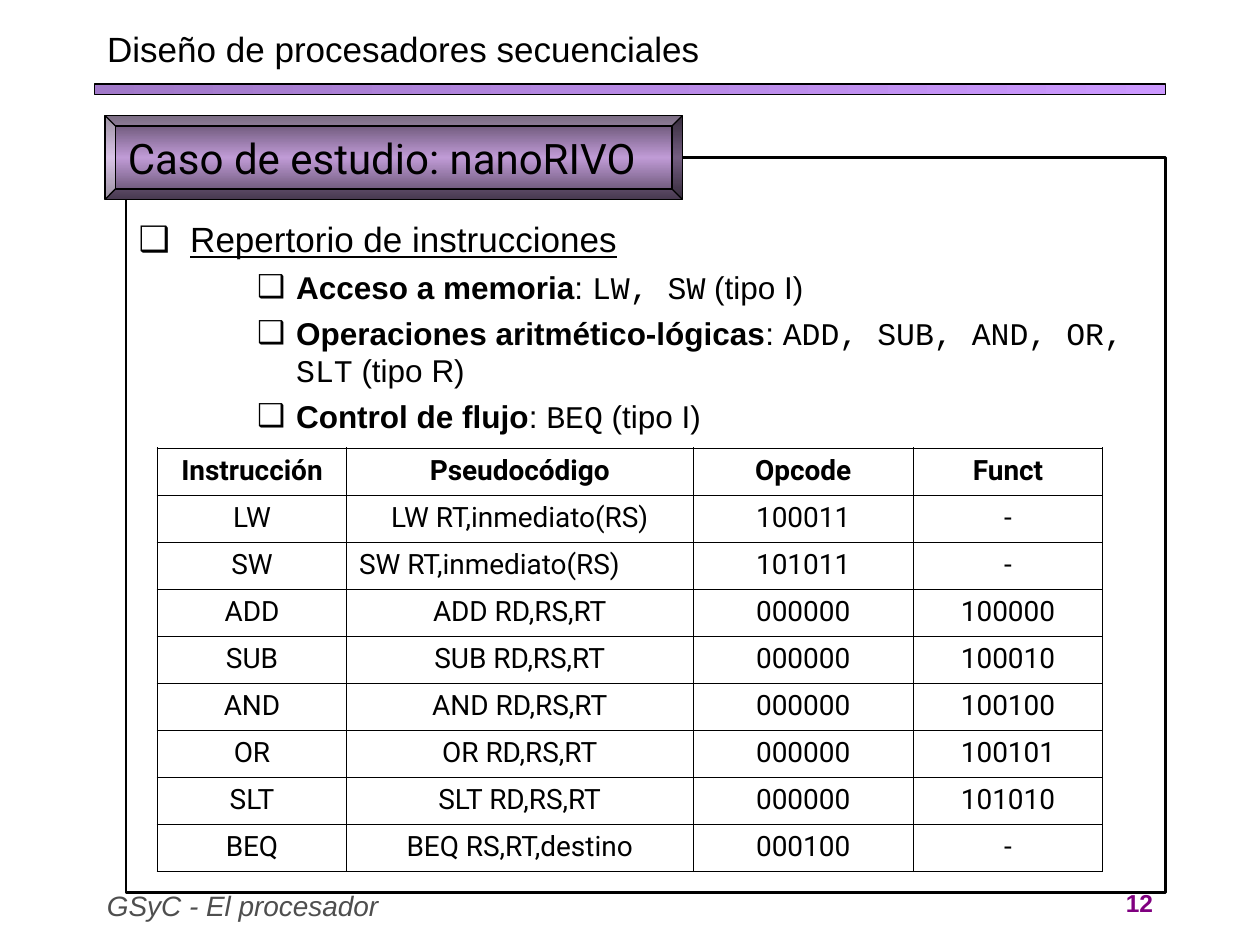
from lxml import etree
from pptx import Presentation, util as u
from pptx.dml.color import RGBColor
from pptx.enum import shapes, text
from pptx.oxml import ns

COLUMNS, ROWS = 120, 90
CELL = u.Inches(10) // COLUMNS
BLACK = "000000"

INSTRUCTION_GROUPS = [
    ("Acceso a memoria", "LW, SW", "I"),
    ("Operaciones aritmético-lógicas", "ADD, SUB, AND, OR, SLT", "R"),
    ("Control de flujo", "BEQ", "I"),
]
OPCODES = [
    ("Instrucción", "Pseudocódigo", "Opcode", "Funct"),
    ("LW", "LW RT,inmediato(RS)", "100011", "-"),
    ("SW", "SW RT,inmediato(RS)", "101011", "-"),
    ("ADD", "ADD RD,RS,RT", "000000", "100000"),
    ("SUB", "SUB RD,RS,RT", "000000", "100010"),
    ("AND", "AND RD,RS,RT", "000000", "100100"),
    ("OR", "OR RD,RS,RT", "000000", "100101"),
    ("SLT", "SLT RD,RS,RT", "000000", "101010"),
    ("BEQ", "BEQ RS,RT,destino", "000100", "-"),
]
OPCODE_COLUMNS = (18, 33, 21, 18)


def color(value):
    return RGBColor.from_string(value)


def grid(*box):
    """Turn left, top, width and height in grid cells into slide lengths."""
    return [round(cells * CELL) for cells in box]


def place(shape, box):
    shape.left, shape.top, shape.width, shape.height = grid(*box)


def add_element(parent, tag, **attributes):
    return etree.SubElement(parent, ns.qn(tag), attributes)


def style(paragraph, size, value=BLACK, name="Arial", bold=False,
          italic=False, align=text.PP_ALIGN.LEFT):
    paragraph.alignment = align
    font = paragraph.font
    font.size, font.name, font.bold, font.italic = u.Pt(size), name, bold, italic
    font.color.rgb = color(value)


def set_gradient(shape, angle, stops):
    """Fill a shape with (percent, colour) stops along a clockwise angle."""
    shape.fill.gradient()
    gradient = shape._element.spPr.find(ns.qn("a:gradFill"))
    for child in list(gradient):
        gradient.remove(child)
    stop_list = add_element(gradient, "a:gsLst")
    for percent, value in stops:
        stop = add_element(stop_list, "a:gs", pos=str(percent * 1000))
        add_element(stop, "a:srgbClr", val=value)
    add_element(gradient, "a:lin", ang=str(angle * 60000), scaled="0")


def add_gradient_shape(slide, kind, box, angle, stops):
    shape = slide.shapes.add_shape(kind, *grid(*box))
    shape.shadow.inherit = False
    set_gradient(shape, angle, stops)
    shape.line.color.rgb = color(BLACK)
    shape.line.width = u.Pt(0.75)
    return shape


def add_heading(slide, title_box, rule_box):
    title = slide.shapes.title
    place(title, title_box)
    frame = title.text_frame
    frame.text = "Diseño de procesadores secuenciales"
    frame.auto_size = text.MSO_AUTO_SIZE.NONE
    frame.vertical_anchor = text.MSO_ANCHOR.TOP
    style(frame.paragraphs[0], 20)
    add_gradient_shape(slide, shapes.MSO_SHAPE.RECTANGLE, rule_box, 180,
                       [(0, "CC99FF"), (100, "A179C9")])


def add_topic(slide, box):
    bevel = add_gradient_shape(slide, shapes.MSO_SHAPE.BEVEL, box, 90,
                               [(0, "594863"), (50, "C09BD6"), (100, "594863")])
    bevel.adjustments[0] = 0.125
    frame = bevel.text_frame
    frame.text = "Caso de estudio: nanoRIVO"
    frame.vertical_anchor = text.MSO_ANCHOR.MIDDLE
    style(frame.paragraphs[0], 24, name="Roboto")


def set_bullet(paragraph, margin, hanging):
    properties = paragraph._p.get_or_add_pPr()
    properties.set("marL", str(u.Inches(margin)))
    properties.set("indent", str(-u.Inches(hanging)))
    add_element(add_element(properties, "a:buClr"), "a:srgbClr", val=BLACK)
    add_element(properties, "a:buChar", char="❑")


def add_run(paragraph, words, name="Arial", bold=False):
    run = paragraph.add_run()
    run.text = words
    run.font.name, run.font.bold = name, bold


def add_repertoire(slide, box):
    body = slide.placeholders[1]
    place(body, box)
    body.line.color.rgb = color(BLACK)
    body.line.width = u.Pt(1.5)
    frame = body.text_frame
    frame.auto_size = text.MSO_AUTO_SIZE.NONE
    frame.margin_top = u.Inches(0.48)
    frame.text = "Repertorio de instrucciones"
    heading = frame.paragraphs[0]
    set_bullet(heading, 0.41, 0.41)
    heading.space_before = u.Pt(0)
    style(heading, 20)
    heading.font.underline = True
    for group, mnemonics, kind in INSTRUCTION_GROUPS:
        paragraph = frame.add_paragraph()
        paragraph.level = 1
        set_bullet(paragraph, 1.25, 0.31)
        paragraph.space_before = u.Pt(4.5)
        style(paragraph, 18)
        add_run(paragraph, group, bold=True)
        add_run(paragraph, ": ")
        add_run(paragraph, mnemonics, name="Courier New")
        add_run(paragraph, f" (tipo {kind})")


def set_borders(cell, widths):
    """Draw the left, right, top and bottom borders, widths in points."""
    properties = cell._tc.get_or_add_tcPr()
    for index, (side, width) in enumerate(zip("LRTB", widths)):
        line = etree.Element(ns.qn(f"a:ln{side}"), w=str(u.Pt(width)))
        add_element(add_element(line, "a:solidFill"), "a:srgbClr", val=BLACK)
        properties.insert(index, line)


def add_opcode_table(slide, box):
    last_row, last_column = len(OPCODES) - 1, len(OPCODE_COLUMNS) - 1
    table = slide.shapes.add_table(last_row + 1, last_column + 1, *grid(*box)).table
    table.first_row = table.horz_banding = False
    for column, width in zip(table.columns, OPCODE_COLUMNS):
        column.width = width * CELL
    for r, values in enumerate(OPCODES):
        for c, value in enumerate(values):
            cell = table.cell(r, c)
            cell.text = value
            cell.fill.background()
            outer = (c == 0, c == last_column, r == 0, r == last_row)
            set_borders(cell, [1.08 if edge else 0.45 for edge in outer])
            left = value.startswith("SW ")
            style(cell.text_frame.paragraphs[0], 16, name="Roboto", bold=r == 0,
                  align=text.PP_ALIGN.LEFT if left else text.PP_ALIGN.CENTER)


def add_footer_text(slide, box, words, size, value, **options):
    frame = slide.shapes.add_textbox(*grid(*box)).text_frame
    frame.word_wrap = True
    frame.text = words
    style(frame.paragraphs[0], size, value, **options)


def main():
    presentation = Presentation()
    presentation.slide_width, presentation.slide_height = COLUMNS * CELL, ROWS * CELL
    slide = presentation.slides.add_slide(presentation.slide_layouts[1])
    add_heading(slide, (9, 2, 99, 5.28), (9, 8, 102, 1))
    add_footer_text(slide, (9, 84, 92, 4), "GSyC - El procesador", 16, "4E4E4E",
                    italic=True)
    add_footer_text(slide, (103, 84, 8, 4), "12", 14, "800080", bold=True,
                    align=text.PP_ALIGN.RIGHT)
    add_repertoire(slide, (12, 15, 99, 70))
    add_topic(slide, (10, 11, 55, 8))
    add_opcode_table(slide, (15, 42.7, sum(OPCODE_COLUMNS), 40.32))
    presentation.save("out.pptx")


if __name__ == "__main__":
    main()
